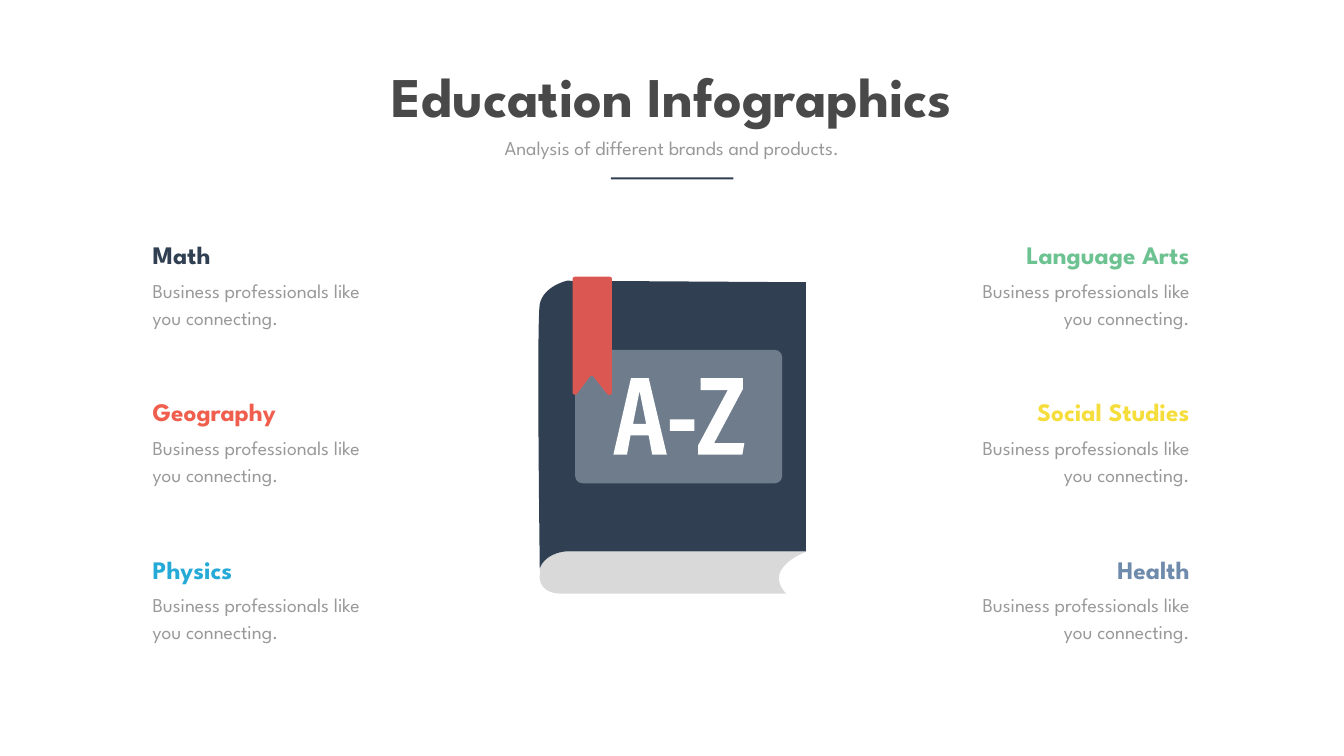
from lxml.etree import SubElement
from pptx import Presentation
from pptx.dml.color import RGBColor
from pptx.enum.shapes import MSO_SHAPE as SHAPE
from pptx.enum.text import MSO_AUTO_SIZE as AUTO, PP_ALIGN as ALIGN
from pptx.oxml.ns import qn
from pptx.util import Inches, Pt

COLS, ROWS = 80, 45
NAVY, WHITE, GRAY = "304052", "FFFFFF", "999999"
TITLE = dict(size=Pt(80), bold=True)
HEADING = dict(size=Pt(36), bold=True)
BODY = dict(size=Pt(28))

TOPICS = {
    (8.79, ALIGN.LEFT): [("Math", NAVY), ("Geography", "F05E4E"), ("Physics", "25AAD8")],
    (56.43, ALIGN.RIGHT): [("Language Arts", "6DC292"), ("Social Studies", "F5DD3B"),
                           ("Health", "6F8BAB")],
}
PAGES = [(33.81, 32.82), (47.97, 32.82), (47.97, 32.85),
         (47.97, 32.85, 46.83, 33.24, 46.44, 34.05),
         (46.14, 34.71, 46.8, 35.34, 46.8, 35.34), (33.42, 35.34),
         (31.98, 35.31, 32.13, 34.26, 32.13, 34.26), (32.13, 33.84),
         (32.37, 33.12, 33.27, 32.82, 33.81, 32.82)]
COVER = [(32.13, 18.09), (32.37, 17.01, 33.75, 16.71, 33.75, 16.71),
         (47.97, 16.8), (47.97, 32.82), (33.81, 32.82),
         (33.24, 32.82, 32.37, 33.12, 32.13, 33.84),
         (32.1, 31.41, 31.95, 19.05, 32.13, 18.09)]
LETTER_A = [(37.53, 25.92), (37.32, 27.06), (36.51, 27.06), (37.56, 22.5),
            (38.61, 22.5), (39.69, 27.06), (38.82, 27.06), (38.61, 25.92)]
A_HOLE = [(38.46, 25.23), (38.07, 23.28), (37.68, 25.23)]
LETTER_Z = [(41.55, 26.52), (43.32, 23.22), (41.7, 23.22), (41.7, 22.5), (44.22, 22.5),
            (44.22, 23.16), (42.51, 26.37), (44.31, 26.37), (44.19, 27.06), (41.55, 27.06)]
BOOKMARK = [(36.27, 16.47), (34.23, 16.47), (34.17, 16.47, 34.08, 16.53, 34.08, 16.62),
            (34.08, 23.34), (34.08, 23.49, 34.26, 23.55, 34.35, 23.43),
            (35.1, 22.44), (35.16, 22.35, 35.28, 22.35, 35.34, 22.44),
            (36.15, 23.46), (36.24, 23.58, 36.42, 23.49, 36.42, 23.37),
            (36.42, 16.62), (36.42, 16.53, 36.36, 16.47, 36.27, 16.47)]


def rgb(value):
    return RGBColor.from_string(value)


def flatten(outline, steps=16):
    points = [outline[0]]
    for part in outline[1:]:
        if len(part) == 2:
            points.append(part)
            continue
        curve = [points[-1], part[:2], part[2:4], part[4:]]
        for i in range(1, steps + 1):
            t = i / steps
            weights = ((1 - t) ** 3, 3 * t * (1 - t) ** 2, 3 * t * t * (1 - t), t ** 3)
            points.append(tuple(sum(w * pt[axis] for w, pt in zip(weights, curve))
                                for axis in (0, 1)))
    return points


class Deck:
    """Draw styled elements on the current slide, measured in grid cells."""

    def __init__(self, font):
        self.font = font
        self.prs = Presentation()
        self.prs.slide_width, self.prs.slide_height = Inches(26.67), Inches(15)
        self.s = self.prs.slides.add_slide(self.prs.slide_layouts[6])

    def x(self, cols):
        return round(self.prs.slide_width * cols / COLS)

    def y(self, rows):
        return round(self.prs.slide_height * rows / ROWS)

    def box(self, left, top, width, height):
        return self.x(left), self.y(top), self.x(width), self.y(height)

    def paint(self, sp, color, alpha=None):
        sp.shadow.inherit = False
        sp.line.fill.background()
        sp.fill.solid()
        sp.fill.fore_color.rgb = rgb(color)
        if alpha:
            clr = next(sp.fill._xPr.iter(qn("a:srgbClr")))
            SubElement(clr, qn("a:alpha"), val=str(alpha * 1000))

    def rect(self, area, color, radius=0, alpha=None):
        kind = SHAPE.ROUNDED_RECTANGLE if radius else SHAPE.RECTANGLE
        sp = self.s.shapes.add_shape(kind, *self.box(*area))
        if radius:
            sp.adjustments[0] = radius / area[3]
        self.paint(sp, color, alpha)

    def outline(self, color, *outlines):
        builder = None
        for outline in outlines:
            start, *rest = [(self.x(px), self.y(py)) for px, py in flatten(outline)]
            if builder is None:
                builder = self.s.shapes.build_freeform(*start, scale=1.0)
            else:
                builder.move_to(*start)
            builder.add_line_segments(rest, close=True)
        self.paint(builder.convert_to_shape(), color)

    def text(self, area, text, style, color, align, wrap=True, spacing=None):
        tf = self.s.shapes.add_textbox(*self.box(*area)).text_frame
        tf.word_wrap, tf.auto_size = wrap, AUTO.SHAPE_TO_FIT_TEXT
        p = tf.paragraphs[0]
        p.alignment, p.line_spacing = align, spacing
        r = p.add_run()
        r.text = text
        for name, value in dict(style, name=self.font).items():
            setattr(r.font, name, value)
        r.font.color.rgb = rgb(color)

    def topic(self, left, top, name, color, align):
        self.text((left, top + 2.13, 14.67, 3.54),
                  "Business professionals like you connecting.",
                  BODY, GRAY, align, spacing=Pt(38.6))
        self.text((left, top, 14.67, 2.13), name, HEADING, color, align)


def main():
    deck = Deck("League Spartan")
    deck.text((20.91, 3.51, 38.19, 4.35), "Education Infographics",
              TITLE, "494949", ALIGN.CENTER, wrap=False)
    deck.text((25.65, 7.95, 28.68, 1.71), "Analysis of different brands and products.",
              BODY, GRAY, ALIGN.CENTER)
    deck.rect((36.36, 10.56, 7.29, 0.12), NAVY)

    deck.outline("D9D9D9", PAGES)
    deck.outline(NAVY, COVER)
    deck.rect((34.23, 20.82, 12.33, 7.95), "CFD8E3", radius=0.45, alpha=40)
    deck.outline(WHITE, LETTER_A, A_HOLE)
    deck.rect((39.87, 24.96, 1.47, 0.69), WHITE)
    deck.outline(WHITE, LETTER_Z)
    deck.outline("DB5852", BOOKMARK)

    for (left, align), topics in TOPICS.items():
        for row, (name, color) in enumerate(topics):
            deck.topic(left, 14.1 + 9.36 * row, name, color, align)
    deck.prs.save("out.pptx")


if __name__ == "__main__":
    main()
